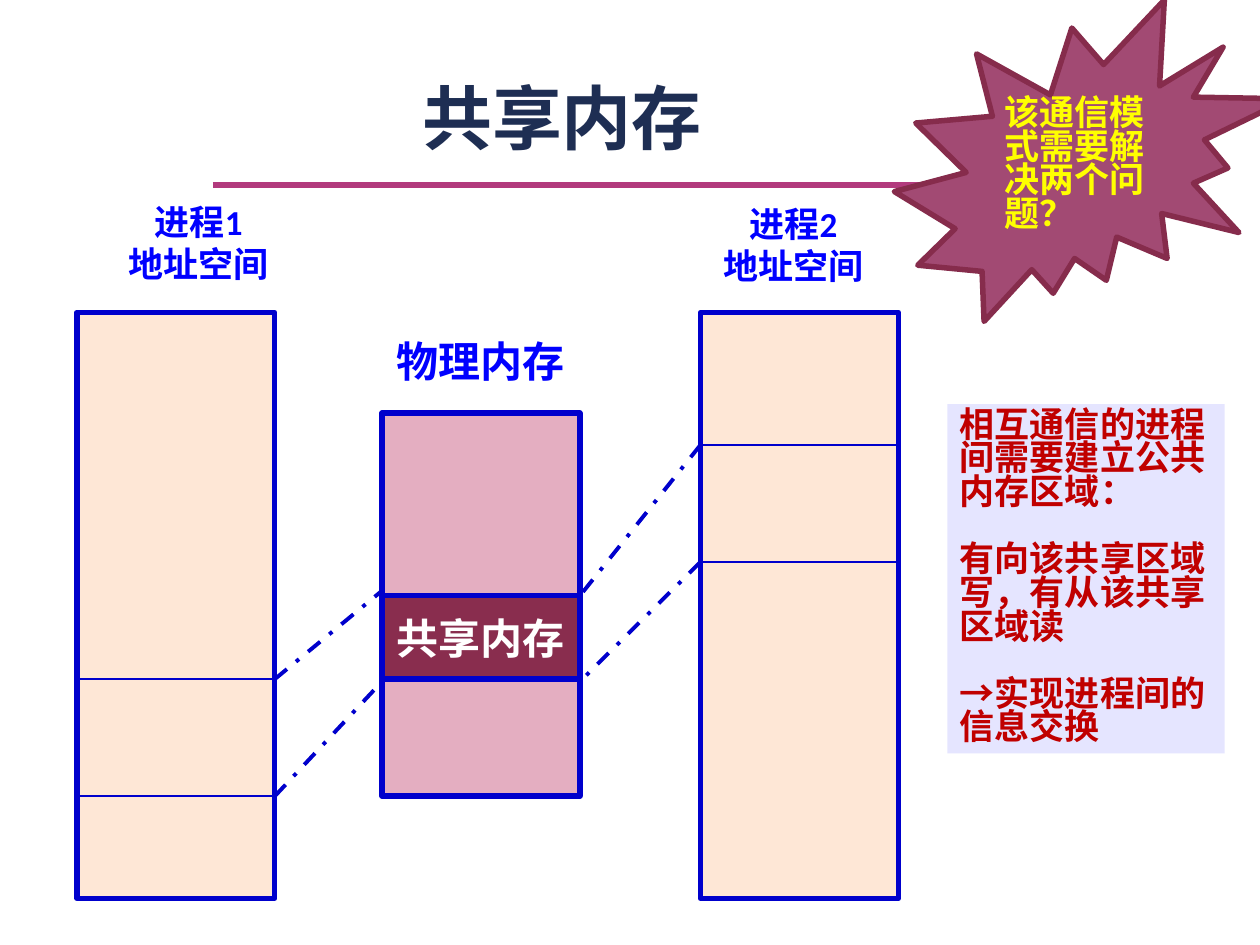
from lxml import etree
from pptx import Presentation
from pptx.dml.color import RGBColor
from pptx.enum import dml, shapes, text
from pptx.oxml.ns import qn
from pptx.util import Cm, Pt

BLUE = "0000CC"
LABEL = "0000FF"
COLUMN_W = 3.99
SPACE_TOP, SPACE_H = 6.3, 11.81
MEMORY_X = 7.7
CENTER, LEFT = text.PP_ALIGN.CENTER, text.PP_ALIGN.LEFT
MIDDLE, TOP, BOTTOM = (text.MSO_ANCHOR.MIDDLE, text.MSO_ANCHOR.TOP,
                       text.MSO_ANCHOR.BOTTOM)


def color(value):
    return RGBColor.from_string(value)


def set_line(line, value, width):
    line.color.rgb = color(value)
    line.width = Pt(width)


def write(sp, lines, size, ink, font="Calibri", anchor=TOP, wrap=True,
          **paragraph_format):
    """Fill a shape with bold paragraphs; space_before skips the first one."""
    tf = sp.text_frame
    tf.word_wrap = wrap
    tf.vertical_anchor = anchor
    for i, line in enumerate(lines):
        p = tf.paragraphs[0] if i == 0 else tf.add_paragraph()
        for name, value in paragraph_format.items():
            if i or name != "space_before":
                setattr(p, name, value)
        r = p.add_run()
        r.text = line
        for name, value in {"name": font, "size": Pt(size), "bold": True}.items():
            setattr(r.font, name, value)
        r.font.color.rgb = color(ink)


def add_label(parent, box, lines, size, ink, **options):
    sp = parent.add_textbox(*map(Cm, box))
    write(sp, lines, size, ink, **options)


def add_block(parent, box, fill, outline=BLUE,
              kind=shapes.MSO_SHAPE.RECTANGLE):
    sp = parent.add_shape(kind, *map(Cm, box))
    sp.shadow.inherit = False
    sp.fill.solid()
    sp.fill.fore_color.rgb = color(fill)
    if outline:
        set_line(sp.line, outline, 3.15)
    else:
        sp.line.fill.background()
    return sp


def add_line(parent, start, end, width, ink=BLUE, dash=None):
    cxn = parent.add_connector(shapes.MSO_CONNECTOR.STRAIGHT,
                               *map(Cm, (*start, *end)))
    set_line(cxn.line, ink, width)
    if dash:
        cxn.line.dash_style = dash
    etree.SubElement(cxn._element.spPr, qn("a:effectLst"))


def add_address_space(parent, x, cuts):
    group = parent.add_group_shape().shapes
    add_block(group, (x, SPACE_TOP, COLUMN_W, SPACE_H), "FEE7D6")
    for y in cuts:
        add_line(group, (x, y), (x + COLUMN_W, y), 1.5)


def add_physical_memory(parent):
    group = parent.add_group_shape().shapes
    add_block(group, (MEMORY_X, 8.33, COLUMN_W, 7.72), "E4AEC1")
    shared = add_block(group, (MEMORY_X, 12.01, COLUMN_W, 1.68), "892D4E")
    write(shared, ["共享内存"], 24, "FFFFFF", anchor=MIDDLE, alignment=CENTER)


def main():
    prs = Presentation()
    prs.slide_width, prs.slide_height = Cm(25.4), Cm(19.05)
    s = prs.slides.add_slide(prs.slide_layouts[6]).shapes

    add_line(s, (4.29, 3.73), (21.31, 3.73), 3, "B23A7D")
    add_label(s, (1.27, 0.89, 20.12, 2.44), ["共享内存"], 40, "1E2E53",
              font="Arial", anchor=BOTTOM, alignment=CENTER)

    add_physical_memory(s)
    left_x, left_cuts = 1.55, (13.69, 16.05)
    right_x, right_cuts = 14.12, (8.97, 11.33)
    add_address_space(s, left_x, left_cuts)
    add_address_space(s, right_x, right_cuts)

    mappings = (
        (right_x, right_cuts, MEMORY_X + COLUMN_W, (12.01, 13.74)),
        (left_x + COLUMN_W, left_cuts, MEMORY_X, (11.91, 13.74)),
    )
    for space_x, cuts, memory_x, ends in mappings:
        for cut, end in zip(cuts, ends):
            add_line(s, (space_x, cut), (memory_x, end), 2.25,
                     dash=dml.MSO_LINE.DASH_DOT)

    for number, x, y in ((1, 2.34, 3.91), (2, 14.33, 3.96)):
        add_label(s, (x, y, 3.33, 1.96), [f"进程{number}", "地址空间"], 20,
                  LABEL, wrap=False, alignment=CENTER)
    add_label(s, (7.75, 6.63, 3.89, 1.27), ["物理内存"], 24, LABEL, wrap=False)

    burst = add_block(s, (18.03, 0, 7.95, 6.48), "A24A73", "862C4C",
                      shapes.MSO_SHAPE.EXPLOSION2)
    write(burst, ["该通信模式需要解决两个问题？"], 20, "FFFF00", anchor=MIDDLE,
          alignment=LEFT, line_spacing=0.8)

    note = add_block(s, (19.1, 8.15, 5.59, 7.04), "E5E5FF", None)
    write(note, ["相互通信的进程间需要建立公共内存区域：",
                 "有向该共享区域写，有从该共享区域读",
                 "→实现进程间的信息交换"], 20, "C00000",
          alignment=LEFT, line_spacing=0.8, space_before=Pt(19.2))

    prs.save("out.pptx")


if __name__ == "__main__":
    main()
